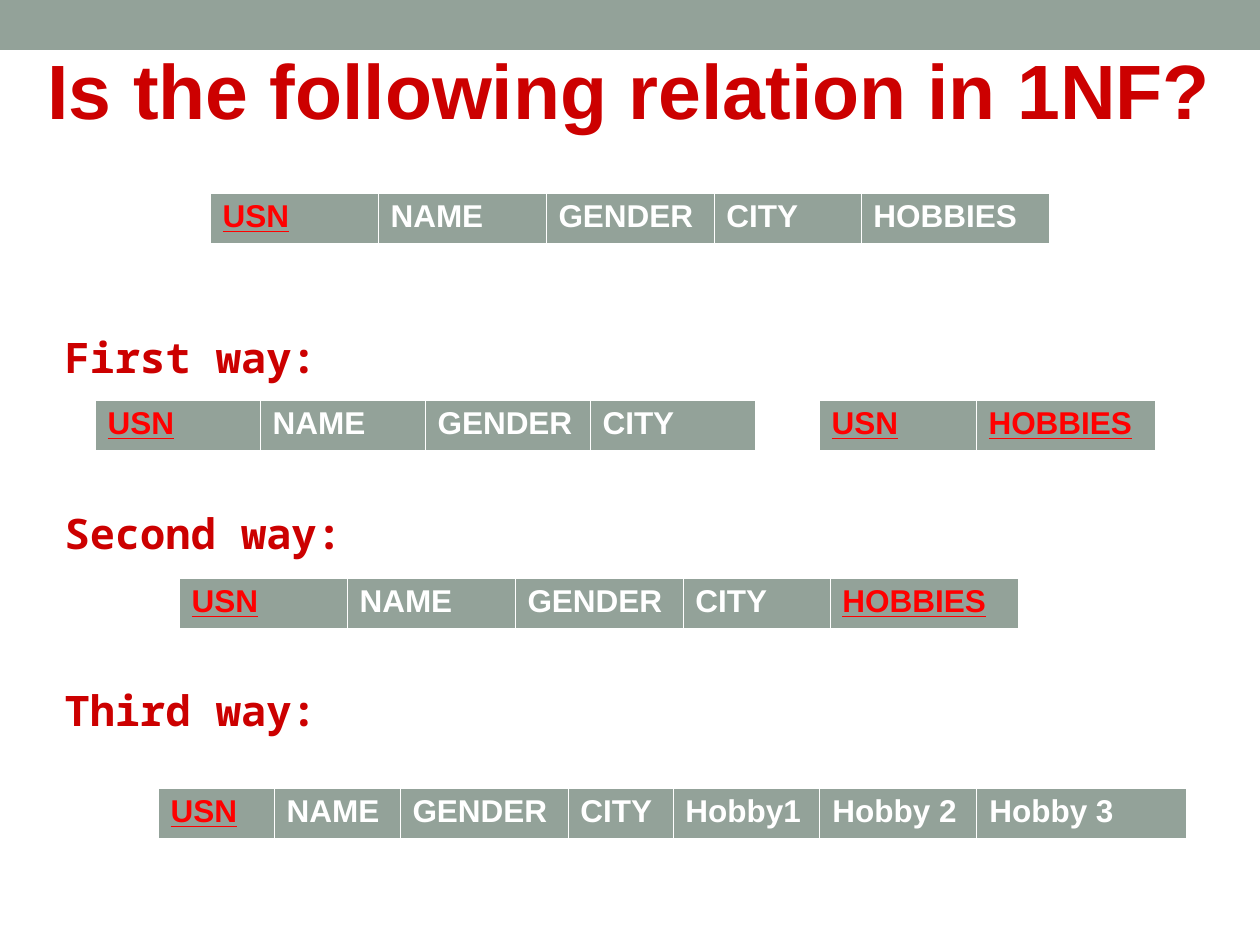
"""Build a slide that asks whether a relation is in 1NF and shows three ways to fix it."""
from lxml.etree import SubElement
from pptx import Presentation
from pptx.dml.color import RGBColor
from pptx.enum.shapes import MSO_SHAPE
from pptx.enum.text import MSO_ANCHOR, MSO_AUTO_SIZE, PP_ALIGN
from pptx.oxml.ns import qn
from pptx.util import Pt

PX = 914400 // 126
SAGE, CRIMSON, RED, WHITE = "93A299", "CC0000", "FF0000", "FFFFFF"


def rgb(value):
    return RGBColor.from_string(value)


def write(paragraph, text, size=18, font="Arial", color=WHITE, underline=False, align=PP_ALIGN.LEFT):
    paragraph.alignment = align
    run = paragraph.add_run()
    run.text = text
    run.font.size = Pt(size)
    run.font.name = font
    run.font.bold = True
    run.font.underline = underline
    run.font.color.rgb = rgb(color)


prs = Presentation()
prs.slide_width, prs.slide_height = 1260 * PX, 945 * PX
slide = prs.slides.add_slide(prs.slide_layouts[1])

band = slide.shapes.add_shape(MSO_SHAPE.RECTANGLE, 0, 0, 1260 * PX, 50 * PX)
band.shadow.inherit = False
band.fill.solid()
band.fill.fore_color.rgb = rgb(SAGE)
band.line.fill.background()
band._element.getparent().insert(2, band._element)

title = slide.shapes.title
title.left, title.top, title.width, title.height = 0, 10 * PX, 1260 * PX, 158 * PX
title.text_frame.auto_size = MSO_AUTO_SIZE.NONE
title.text_frame.vertical_anchor = MSO_ANCHOR.MIDDLE
write(title.text_frame.paragraphs[0], "Is the following relation in 1NF?",
      size=44, color=CRIMSON, align=PP_ALIGN.CENTER)

ways = slide.placeholders[1]
ways.left, ways.top, ways.width, ways.height = 52 * PX, 325 * PX, 1103 * PX, 525 * PX
ways.text_frame.auto_size = MSO_AUTO_SIZE.NONE
for index, heading in enumerate(["First way:", "Second way:", "Third way:"]):
    paragraph = ways.text_frame.add_paragraph() if index else ways.text_frame.paragraphs[0]
    properties = paragraph._p.get_or_add_pPr()
    properties.set("marL", str(84 * PX))
    properties.set("indent", str(-84 * PX))
    SubElement(properties, qn("a:buNone"))
    paragraph.space_before = Pt(72 if index else 0)
    write(paragraph, heading, size=24, font="Noto Sans Mono", color=CRIMSON, align=PP_ALIGN.JUSTIFY)

PERSON = ["USN", "NAME", "GENDER", "CITY"]
PERSON_WIDTHS = [168, 168, 168, 147, 189]
relations = [
    (210, 193, PERSON + ["HOBBIES"], PERSON_WIDTHS, ["USN"]),
    (95, 400, PERSON, [165] * 4, ["USN"]),
    (819, 400, ["USN", "HOBBIES"], [157, 179], ["USN", "HOBBIES"]),
    (179, 578, PERSON + ["HOBBIES"], PERSON_WIDTHS, ["USN", "HOBBIES"]),
    (158, 788, PERSON + ["Hobby1", "Hobby 2", "Hobby 3"],
     [116, 126, 168, 105, 147, 157, 210], ["USN"]),
]
for left, top, attributes, widths, keys in relations:
    relation = slide.shapes.add_table(
        1, len(attributes), left * PX, top * PX, sum(widths) * PX, 51 * PX).table
    relation.first_row = relation.horz_banding = False
    for column, cell, attribute, width in zip(relation.columns, relation.iter_cells(), attributes, widths):
        column.width = width * PX
        borders = cell._tc.get_or_add_tcPr()
        for side, points in [("L", 0.45), ("R", 0.45), ("T", 0.45), ("B", 1.47)]:
            border = SubElement(borders, qn("a:ln" + side), w=str(Pt(points)))
            SubElement(SubElement(border, qn("a:solidFill")), qn("a:srgbClr"), val=WHITE)
        cell.fill.solid()
        cell.fill.fore_color.rgb = rgb(SAGE)
        is_key = attribute in keys
        write(cell.text_frame.paragraphs[0], attribute,
              color=RED if is_key else WHITE, underline=is_key)

prs.save("out.pptx")
